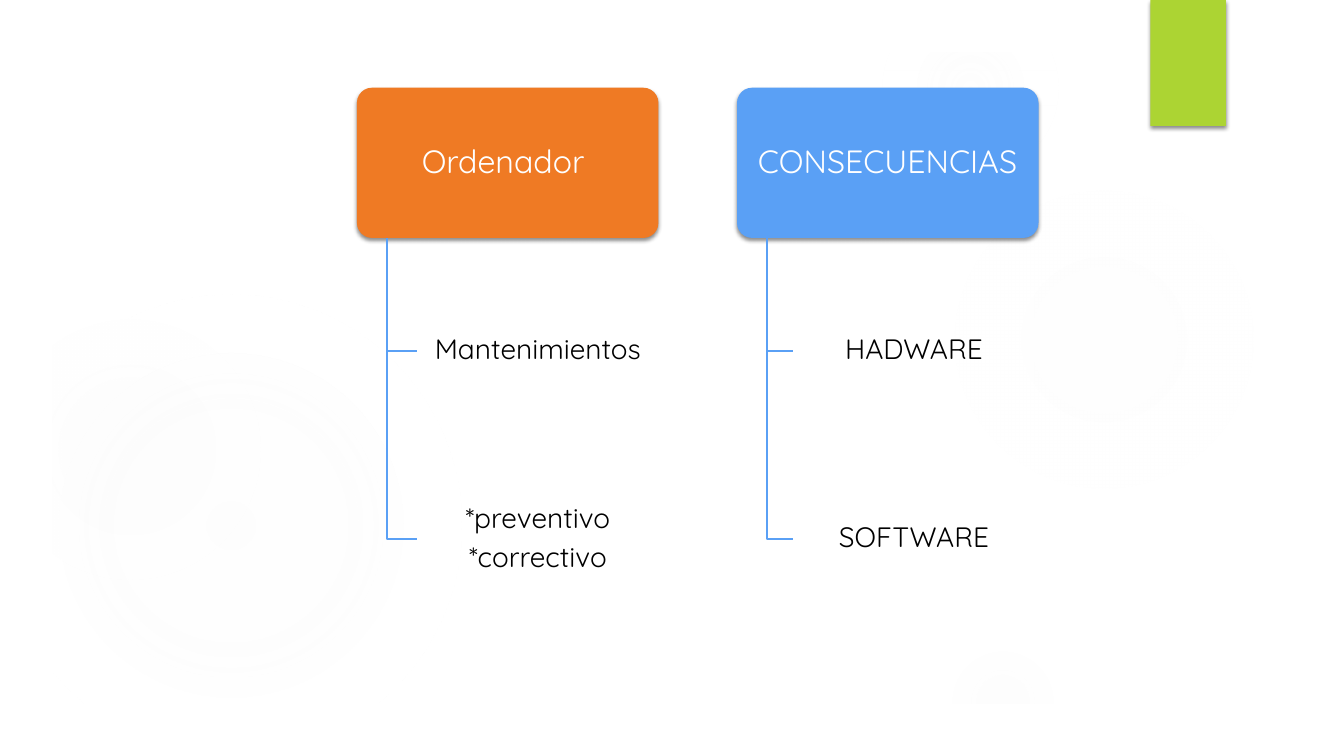
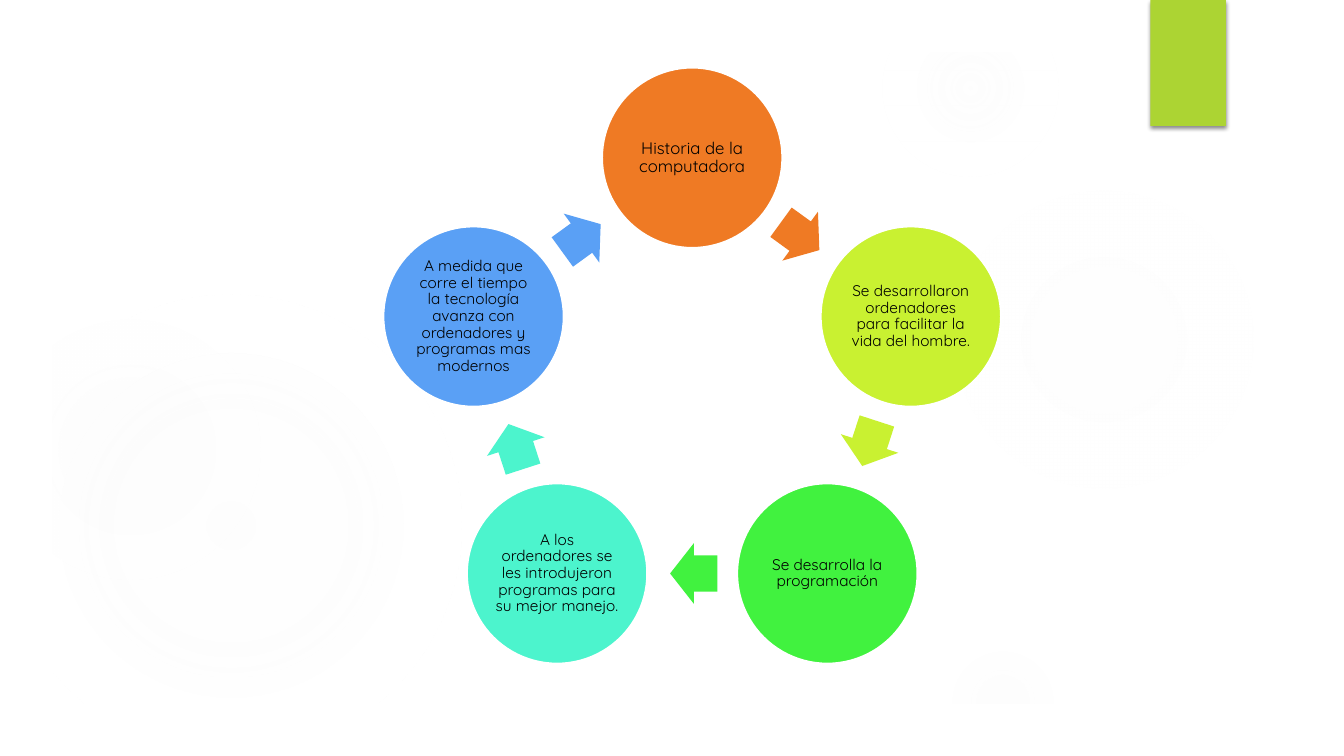
import math

import pptx
import pptx.dml.color
import pptx.enum.shapes
import pptx.enum.text
import pptx.oxml
import pptx.oxml.ns
import pptx.util

Inches, Pt = pptx.util.Inches, pptx.util.Pt
SHAPE = pptx.enum.shapes.MSO_SHAPE
qn = pptx.oxml.ns.qn

FONT = "Quicksand"
WHITE, BLACK, GLOW = "FFFFFF", "000000", "F7F7F7"
ORANGE, BLUE, TAB_GREEN = "EF7A24", "5AA0F5", "ACD433"
SLIDE_W, SLIDE_H, FRAME_W = 13.33, 7.5, 0.52

# left, top, diameter, gradient stops as (position %, opacity %)
GLOWS = [
    (0, 2.92, 4.58, [(0, 11), (36, 10), (75, 0)]),
    (0, 3.17, 2.58, [(0, 8), (36, 8), (72, 0)]),
    (9.41, 1.83, 3.08, [(0, 7), (36, 6), (69, 0)]),
    (8.75, 0, 1.75, [(0, 14), (36, 7), (73, 0)]),
    (9.41, 6.42, 1.08, [(0, 14), (36, 7), (66, 0)]),
]

# heading, fill, left, left of the children, children as lists of paragraphs
TREES = [
    ("Ordenador ", ORANGE, 3.54, 4.14,
     [["Mantenimientos"], ["*preventivo", "*correctivo"]]),
    ("CONSECUENCIAS", BLUE, 7.31, 7.87, [["HADWARE"], ["SOFTWARE"]]),
]
TREE_TOP, NODE_H, HEAD_W, CHILD_W = 0.87, 1.49, 2.99, 2.39
ROW_STEP, TRUNK_INDENT = 1.865, 0.3

# text, size, fill, clockwise from the top
CYCLE = [
    ("Historia de la computadora", 12, ORANGE),
    ("Se desarrollaron ordenadores para facilitar la vida del hombre.", 11, "C9F131"),
    ("Se desarrolla la programación", 11, "41F23F"),
    ("A los ordenadores se les introdujeron programas para su mejor manejo.", 11, "4CF4CD"),
    ("A medida que corre el tiempo la tecnología avanza con ordenadores y "
     "programas mas modernos", 11, BLUE),
]
CENTER_X, CENTER_Y, RADIUS, CIRCLE_D = 6.865, 3.845, 2.28, 1.79
ARROW_W, ARROW_H, ARROW_LAG = 0.47, 0.6, 0.5


def rgb(color):
    return pptx.dml.color.RGBColor.from_string(color)


def xml(tag, body):
    ns = pptx.oxml.ns.nsdecls("a")
    return pptx.oxml.parse_xml(f"<a:{tag} {ns}>{body}</a:{tag}>")


def add_shape(s, kind, x, y, w, h, color, adjustments=()):
    shape = s.shapes.add_shape(kind, Inches(x), Inches(y), Inches(w), Inches(h))
    shape.shadow.inherit = False
    shape.fill.solid()
    shape.fill.fore_color.rgb = rgb(color)
    shape.line.fill.background()
    for i, value in enumerate(adjustments):
        shape.adjustments[i] = value
    return shape


def add_shadow(shape):
    props = shape.element.spPr
    props.replace(props.find(qn("a:effectLst")), xml(
        "effectLst",
        '<a:outerShdw blurRad="38100" dist="25400" dir="5400000" rotWithShape="0">'
        f'<a:srgbClr val="{BLACK}"><a:alpha val="45000"/></a:srgbClr></a:outerShdw>'))


def set_radial_fade(shape, stops):
    body = "".join(
        f'<a:gs pos="{pos * 1000}"><a:srgbClr val="{GLOW}">'
        f'<a:alpha val="{opacity * 1000}"/></a:srgbClr></a:gs>' for pos, opacity in stops)
    props = shape.element.spPr
    props.replace(props.find(qn("a:solidFill")), xml(
        "gradFill",
        f'<a:gsLst>{body}</a:gsLst><a:path path="circle">'
        '<a:fillToRect l="50000" t="50000" r="50000" b="50000"/></a:path>'))


def set_text(shape, paragraphs, size, color, inset):
    tf = shape.text_frame
    tf.word_wrap = True
    tf.vertical_anchor = pptx.enum.text.MSO_ANCHOR.MIDDLE
    tf.margin_left = tf.margin_right = Inches(inset)
    tf.margin_top = tf.margin_bottom = Inches(min(inset, 0.03))
    tf.text = "\n".join(paragraphs)
    for p in tf.paragraphs:
        p.alignment = pptx.enum.text.PP_ALIGN.CENTER
        p.line_spacing = 0.9
        p.space_after = Pt(size * 0.3)
        for r in p.runs:
            r.font.name = FONT
            r.font.size = Pt(size)
            r.font.color.rgb = rgb(color)


def move_backdrop_to_layout(s):
    """Draw the shared backdrop on slide s, then move it to the slide's layout."""
    parts = []
    for x, y, d, stops in GLOWS:
        glow = add_shape(s, SHAPE.OVAL, x, y, d, d, GLOW)
        set_radial_fade(glow, stops)
        parts.append(glow)
    parts.append(add_shape(s, SHAPE.FRAME, 0, 0, SLIDE_W, SLIDE_H, WHITE,
                           [FRAME_W / SLIDE_H]))
    tab = add_shape(s, SHAPE.RECTANGLE, 11.41, 0, 0.75, 1.25, TAB_GREEN)
    add_shadow(tab)
    for part in parts + [tab]:
        s.slide_layout.shapes.element.append(part.element)


def add_bracket(s, x, top, right, bottom):
    builder = s.shapes.build_freeform(Inches(x), Inches(top))
    builder.add_line_segments(
        [(Inches(x), Inches(bottom)), (Inches(right), Inches(bottom))], close=False)
    bracket = builder.convert_to_shape()
    bracket.shadow.inherit = False
    bracket.fill.background()
    bracket.line.color.rgb = rgb(BLUE)
    bracket.line.width = Pt(1.5)


def add_tree(s, heading, color, left, child_left, children):
    head = add_shape(s, SHAPE.ROUNDED_RECTANGLE, left, TREE_TOP, HEAD_W, NODE_H, color, [0.1])
    add_shadow(head)
    set_text(head, [heading], 23, WHITE, 0.05)
    for row, paragraphs in enumerate(children, 1):
        top = TREE_TOP + row * ROW_STEP
        add_bracket(s, left + TRUNK_INDENT, TREE_TOP + NODE_H, child_left, top + NODE_H / 2)
        child = add_shape(s, SHAPE.ROUNDED_RECTANGLE, child_left, top, CHILD_W, NODE_H,
                          WHITE, [0.1])
        child.element.spPr.find(".//" + qn("a:srgbClr")).append(xml("alpha", ""))
        child.element.spPr.find(".//" + qn("a:alpha")).set("val", "90000")
        set_text(child, paragraphs, 20, BLACK, 0.04)


def corner_on_ring(degrees, radius, w, h):
    """Left and top of a w by h box centred on the ring, clockwise from the top."""
    angle = math.radians(degrees)
    return (CENTER_X + radius * math.sin(angle) - w / 2,
            CENTER_Y - radius * math.cos(angle) - h / 2)


def add_cycle(s, stages):
    step = 360 / len(stages)
    chord_radius = RADIUS * math.cos(math.radians(step / 2))
    for i, (text, size, color) in enumerate(stages):
        x, y = corner_on_ring(i * step, RADIUS, CIRCLE_D, CIRCLE_D)
        circle = add_shape(s, SHAPE.OVAL, x, y, CIRCLE_D, CIRCLE_D, color)
        circle.line.color.rgb = rgb(WHITE)
        circle.line.width = Pt(1.5)
        set_text(circle, [text], size, BLACK, 0.02)
        heading = (i + 0.5) * step
        x, y = corner_on_ring(heading - ARROW_LAG, chord_radius, ARROW_W, ARROW_H)
        arrow = add_shape(s, SHAPE.RIGHT_ARROW, x, y, ARROW_W, ARROW_H, color, [0.6, 0.5])
        arrow.rotation = heading


def main():
    prs = pptx.Presentation()
    prs.slide_width, prs.slide_height = Inches(SLIDE_W), Inches(SLIDE_H)
    blank = prs.slide_layouts[6]

    s = prs.slides.add_slide(blank)
    move_backdrop_to_layout(s)
    for tree in TREES:
        add_tree(s, *tree)

    s = prs.slides.add_slide(blank)
    add_cycle(s, CYCLE)

    prs.save("out.pptx")


if __name__ == "__main__":
    main()
